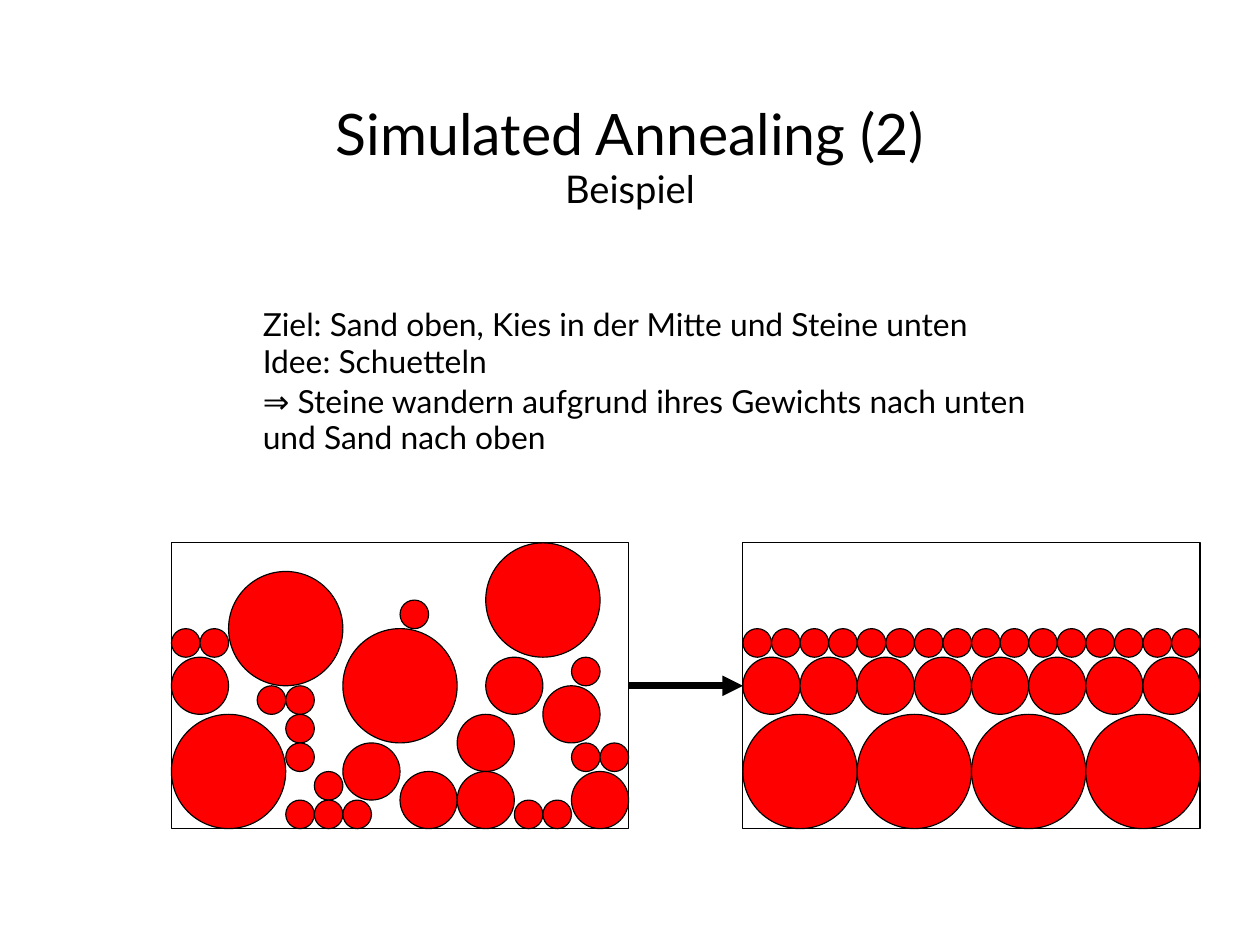
from lxml.etree import SubElement
from pptx import Presentation
from pptx.dml.color import RGBColor
from pptx.enum.shapes import MSO_CONNECTOR, MSO_SHAPE
from pptx.enum.text import MSO_ANCHOR, PP_ALIGN
from pptx.oxml.ns import qn
from pptx.util import Emu, Pt

COLORS = {"ink": "000000", "stone": "FF0000"}
EMU_PER_PX = 1800
CELL = 127
BIN_COLUMNS, BIN_ROWS = 16, 10
BIN_TOP = 19 * CELL
MIXED_LEFT, SORTED_LEFT = 6 * CELL, 26 * CELL

MIXED_STONES = {
    4: [(0, 6), (6, 3), (11, 0), (2, 1)],
    2: [(0, 4), (14, 8), (8, 8), (6, 7), (10, 6), (10, 8), (13, 5), (11, 4)],
    1: [(0, 3), (1, 3), (3, 5), (4, 5), (4, 6), (4, 7), (5, 8), (4, 9),
        (5, 9), (6, 9), (8, 2), (12, 9), (13, 9), (14, 4), (14, 7), (15, 7)],
}
LAYER_ROWS = {4: 6, 2: 4, 1: 3}
SORTED_STONES = {
    size: [(column, row) for column in range(0, BIN_COLUMNS, size)]
    for size, row in LAYER_ROWS.items()
}


def px(*lengths):
    """Turn pixel lengths into EMU."""
    return [Emu(length * EMU_PER_PX) for length in lengths]


def apply(target, values):
    """Set every attribute named in values on target."""
    for name, value in values.items():
        setattr(target, name, value)


class SlideBuilder:
    """Draw styled elements on the current slide."""

    def __init__(self, slide, font, colors):
        """Keep the slide and its style."""
        self.slide = slide
        self.font = font
        self.colors = {name: RGBColor.from_string(code) for name, code in colors.items()}

    def text(self, box, paragraphs, **frame_format):
        """Add a text box; each paragraph is (runs, format), each run (words, size)."""
        frame = self.slide.shapes.add_textbox(*px(*box)).text_frame
        margins = dict.fromkeys(
            ("margin_left", "margin_top", "margin_right", "margin_bottom"), 0)
        apply(frame, {"word_wrap": True, **margins, **frame_format})
        for index, (runs, paragraph_format) in enumerate(paragraphs):
            paragraph = frame.add_paragraph() if index else frame.paragraphs[0]
            apply(paragraph, paragraph_format)
            for position, (words, size) in enumerate(runs):
                if position:
                    paragraph.add_line_break()
                run = paragraph.add_run()
                run.text = words
                apply(run.font, {"name": self.font, "size": Pt(size)})
                run.font.color.rgb = self.colors["ink"]

    def shape(self, kind, box, fill=None):
        """Add a thinly outlined shape, filled if a colour is named."""
        shape = self.slide.shapes.add_shape(kind, *px(*box))
        shape.shadow.inherit = False
        if fill:
            shape.fill.solid()
            shape.fill.fore_color.rgb = self.colors[fill]
        else:
            shape.fill.background()
        shape.line.color.rgb = self.colors["ink"]
        shape.line.width = Pt(0.75)
        return shape

    def bin(self, left, stones):
        """Add a bin holding stones given by size and grid cell."""
        outline = self.shape(
            MSO_SHAPE.RECTANGLE, (left, BIN_TOP, BIN_COLUMNS * CELL, BIN_ROWS * CELL))
        for size, cells in stones.items():
            for column, row in cells:
                self.shape(
                    MSO_SHAPE.OVAL,
                    (left + column * CELL, BIN_TOP + row * CELL, size * CELL, size * CELL),
                    "stone")
        return outline

    def arrow(self, start, end):
        """Join the right side of start to the left side of end."""
        arrow = self.slide.shapes.add_connector(MSO_CONNECTOR.STRAIGHT, 0, 0, 0, 0)
        arrow.begin_connect(start, 3)
        arrow.end_connect(end, 1)
        arrow.line.color.rgb = self.colors["ink"]
        arrow.line.width = Pt(4.31)
        outline = arrow.element.spPr.find(qn("a:ln"))
        SubElement(outline, qn("a:tailEnd"), type="triangle")
        SubElement(arrow.element.spPr, qn("a:effectLst"))


def main():
    """Build and save the slide."""
    presentation = Presentation()
    width, height = px(5600, 4200)
    apply(presentation, {"slide_width": width, "slide_height": height})
    slide = presentation.slides.add_slide(presentation.slide_layouts[6])
    builder = SlideBuilder(slide, "Lato", COLORS)

    heading = [("Simulated Annealing (2)", 36), ("Beispiel", 24)]
    builder.text(
        (410, 335, 4780, 730),
        [(heading, {"alignment": PP_ALIGN.CENTER, "line_spacing": 0.97})],
        vertical_anchor=MSO_ANCHOR.MIDDLE)

    explanation = [
        ("Ziel: Sand oben, Kies in der Mitte und Steine unten", 0.97),
        ("Idee: Schuetteln", 0.97),
        ("⇒ Steine wandern aufgrund ihres Gewichts nach unten", 1.02),
        ("und Sand nach oben", 0.97),
    ]
    builder.text(
        (1168, 1366, 3932, 665),
        [([(words, 20)], {"line_spacing": spacing}) for words, spacing in explanation])

    sorted_bin = builder.bin(SORTED_LEFT, SORTED_STONES)
    mixed_bin = builder.bin(MIXED_LEFT, MIXED_STONES)
    builder.arrow(mixed_bin, sorted_bin)
    presentation.save("out.pptx")


if __name__ == "__main__":
    main()
